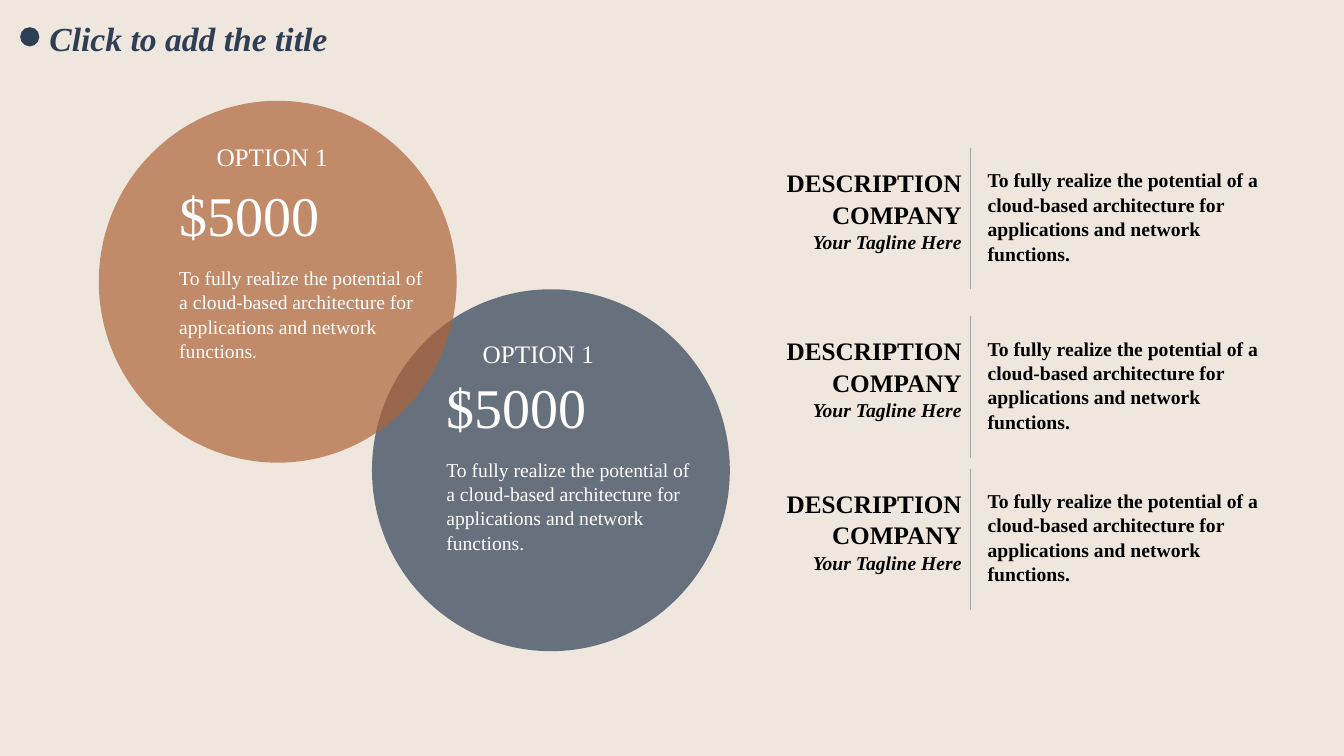
import dataclasses
import typing

import lxml.etree
import pptx
import pptx.dml.color
import pptx.enum.shapes
import pptx.enum.text
import pptx.oxml.ns
import pptx.util

RGB = pptx.dml.color.RGBColor
SAND = RGB(0xEF, 0xE6, 0xDD)
NAVY = RGB(0x2E, 0x3F, 0x55)
RUST = RGB(0xAE, 0x63, 0x39)
GREY = RGB(0xA5, 0xA5, 0xA5)
WHITE = RGB(0xFF, 0xFF, 0xFF)
BLACK = RGB(0, 0, 0)

FONT = "Times New Roman"
CELL = 0.1  # inches per grid column and row
COLS, ROWS = 133.33, 75
BLURB = ("To fully realize the potential of a cloud-based architecture "
         "for applications and network functions.")
ALIGN = pptx.enum.text.PP_ALIGN


class Box(typing.NamedTuple):
    """A place on the grid, in columns and rows."""
    left: float
    top: float
    width: float
    height: float


class Line(typing.NamedTuple):
    text: str
    size: float
    bold: bool = False
    slant: bool = False


@dataclasses.dataclass
class Offer:
    disc: Box
    fill: RGB
    left: float
    top: float
    head: Box


OFFERS = [
    Offer(Box(36.9, 28.7, 35.5, 35.9), NAVY, 43.3, 36.2, Box(46.9, 33, 13.2, 4)),
    Offer(Box(9.8, 10, 35.5, 35.9), RUST, 16.8, 17.2, Box(20.5, 13.4, 13.2, 4)),
]
RULE_TOPS = [14.7, 31.4, 46.5]


def grid(count: float) -> int:
    return pptx.util.Inches(count * CELL)


def place(box: Box) -> list[int]:
    return [grid(part) for part in box]


def style(target: typing.Any, values: dict[str, typing.Any]) -> None:
    for name, value in values.items():
        setattr(target, name, value)


def write(shape: typing.Any, lines: list[Line], color: RGB,
          wrap: bool = True, align: ALIGN = ALIGN.LEFT) -> None:
    frame = shape.text_frame
    style(frame, {
        "word_wrap": wrap,
        "auto_size": pptx.enum.text.MSO_AUTO_SIZE.SHAPE_TO_FIT_TEXT,
        "vertical_anchor": pptx.enum.text.MSO_ANCHOR.TOP,
    })
    for index, line in enumerate(lines):
        para = frame.add_paragraph() if index else frame.paragraphs[0]
        style(para, {"alignment": align, "line_spacing": 1.04})
        run = para.add_run()
        run.text = line.text
        style(run.font, {"name": FONT, "size": pptx.util.Pt(line.size),
                         "bold": line.bold, "italic": line.slant})
        run.font.color.rgb = color


def add_text(slide: typing.Any, box: Box, lines: list[Line], color: RGB,
             wrap: bool = True, align: ALIGN = ALIGN.LEFT) -> None:
    write(slide.shapes.add_textbox(*place(box)), lines, color, wrap, align)


def add_disc(slide: typing.Any, box: Box, fill: RGB, alpha: int = 100) -> None:
    """Draw an ellipse without outline; alpha is its opacity in percent."""
    disc = slide.shapes.add_shape(pptx.enum.shapes.MSO_SHAPE.OVAL, *place(box))
    disc.shadow.inherit = False
    disc.line.fill.background()
    disc.fill.solid()
    disc.fill.fore_color.rgb = fill
    if alpha < 100:
        color = disc.fill._xPr.find(".//" + pptx.oxml.ns.qn("a:srgbClr"))
        lxml.etree.SubElement(color, pptx.oxml.ns.qn("a:alpha"), val=str(alpha * 1000))


def add_title(slide: typing.Any) -> None:
    title = slide.shapes.title
    names = ("left", "top", "width", "height")
    style(title, dict(zip(names, place(Box(3.9, 1.1, 31.5, 5)))))
    write(title, [Line("Click to add the title", 24, True, True)], NAVY)
    add_disc(slide, Box(2, 2.7, 1.9, 1.9), NAVY)


def add_offer(slide: typing.Any, offer: Offer) -> None:
    left, top = offer.left, offer.top
    add_text(slide, offer.head, [Line("OPTION 1", 18)], WHITE, wrap=False)
    add_text(slide, Box(left, top, 16, 7.7), [Line("$5000", 40)], WHITE, wrap=False)
    add_text(slide, Box(left, top + 8.6, 26.4, 10.4), [Line(BLURB, 14)], WHITE)


def add_rule(slide: typing.Any, left: float, top: float, height: float) -> None:
    rule = slide.shapes.add_connector(
        pptx.enum.shapes.MSO_CONNECTOR.STRAIGHT,
        grid(left), grid(top), grid(left), grid(top + height))
    rule.line.color.rgb = GREY
    rule.line.width = pptx.util.Pt(0.5)
    lxml.etree.SubElement(rule._element.spPr, pptx.oxml.ns.qn("a:effectLst"))


def add_entry(slide: typing.Any, top: float) -> None:
    lines = [Line("DESCRIPTION", 18, True), Line("COMPANY", 18, True),
             Line("Your Tagline Here", 14, True, True)]
    add_text(slide, Box(76.8, top + 1.3, 19.6, 9.4), lines, BLACK, False, ALIGN.RIGHT)
    add_rule(slide, 96.3, top, 14)
    add_text(slide, Box(97, top + 1.4, 29.3, 10.4), [Line(BLURB, 14, True)], BLACK)


def main() -> None:
    deck = pptx.Presentation()
    style(deck, {"slide_width": grid(COLS), "slide_height": grid(ROWS)})
    slide = deck.slides.add_slide(deck.slide_layouts.get_by_name("Title Only"))
    slide.background.fill.solid()
    slide.background.fill.fore_color.rgb = SAND

    add_title(slide)
    for offer in OFFERS:
        add_disc(slide, offer.disc, offer.fill, alpha=70)
    for offer in reversed(OFFERS):
        add_offer(slide, offer)
    for top in RULE_TOPS:
        add_entry(slide, top)
    deck.save("out.pptx")


if __name__ == "__main__":
    main()
